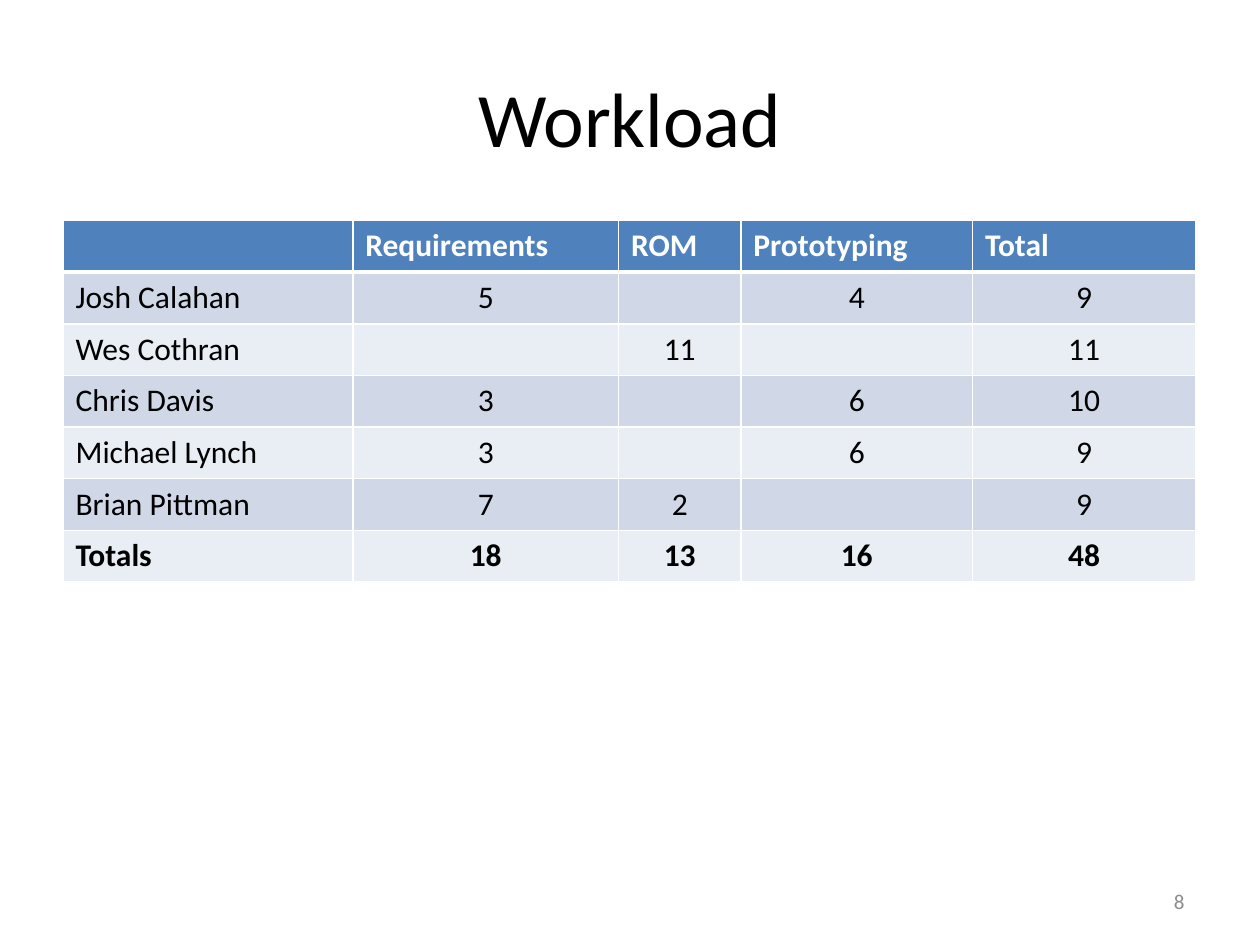
from lxml.etree import SubElement
from pptx import Presentation
from pptx.dml.color import RGBColor
from pptx.enum.text import MSO_ANCHOR, PP_ALIGN
from pptx.oxml.ns import qn
from pptx.util import Inches, Pt

COLORS = {
    "header": "4F81BD",
    "band_dark": "D0D8E8",
    "band_light": "E9EDF4",
    "white": "FFFFFF",
    "black": "000000",
    "gray": "8C8C8C",
}


def write_text(frame, text, size, color, align, bold=False):
    frame.text = text
    para = frame.paragraphs[0]
    para.alignment = align
    for span in para.runs:
        span.font.name = "Calibri"
        span.font.size = Pt(size)
        span.font.bold = bold
        span.font.color.rgb = RGBColor.from_string(COLORS[color])


def add_borders(cell, widths):
    properties = cell._tc.get_or_add_tcPr()
    for side, width in widths.items():
        line = SubElement(properties, qn(f"a:ln{side}"), w=str(Pt(width)))
        fill = SubElement(line, qn("a:solidFill"))
        SubElement(fill, qn("a:srgbClr"), val=COLORS["white"])


deck = Presentation()
deck.slide_width = Inches(10)
deck.slide_height = Inches(7.5)
page = deck.slides.add_slide(deck.slide_layouts[6])

labels = [
    ("Workload", (0.5, 0.3, 9, 1.25), 44, "black", PP_ALIGN.CENTER),
    ("8", (7.17, 6.95, 2.33, 0.4), 12, "gray", PP_ALIGN.RIGHT),
]
for text, place, size, color, align in labels:
    box = page.shapes.add_textbox(*map(Inches, place))
    box.text_frame.word_wrap = True
    box.text_frame.vertical_anchor = MSO_ANCHOR.MIDDLE
    write_text(box.text_frame, text, size, color, align)

workload = [
    ["", "Requirements", "ROM", "Prototyping", "Total"],
    ["Josh Calahan", "5", "", "4", "9"],
    ["Wes Cothran", "", "11", "", "11"],
    ["Chris Davis", "3", "", "6", "10"],
    ["Michael Lynch", "3", "", "6", "9"],
    ["Brian Pittman", "7", "2", "", "9"],
    ["Totals", "18", "13", "16", "48"],
]
column_widths = [2.3, 2.11, 0.97, 1.84, 1.77]
row_height = 0.41
last_row = len(workload) - 1

table = page.shapes.add_table(
    len(workload), len(column_widths), Inches(0.5), Inches(1.75),
    Inches(sum(column_widths)), Inches(row_height * len(workload)),
).table
for column, width in zip(table.columns, column_widths):
    column.width = Inches(width)

for row_index, values in enumerate(workload):
    table.rows[row_index].height = Inches(row_height)
    is_header = row_index == 0
    if is_header:
        band = "header"
    else:
        band = "band_dark" if row_index % 2 else "band_light"
    for column_index, value in enumerate(values):
        cell = table.cell(row_index, column_index)
        centered = not is_header and column_index > 0
        write_text(
            cell.text_frame, value, 18,
            "white" if is_header else "black",
            PP_ALIGN.CENTER if centered else PP_ALIGN.LEFT,
            row_index in (0, last_row),
        )
        add_borders(cell, {
            "L": 1,
            "R": 1,
            "T": 3 if row_index == 1 else 1,
            "B": 3 if is_header else 1,
        })
        cell.fill.solid()
        cell.fill.fore_color.rgb = RGBColor.from_string(COLORS[band])

deck.save("out.pptx")
